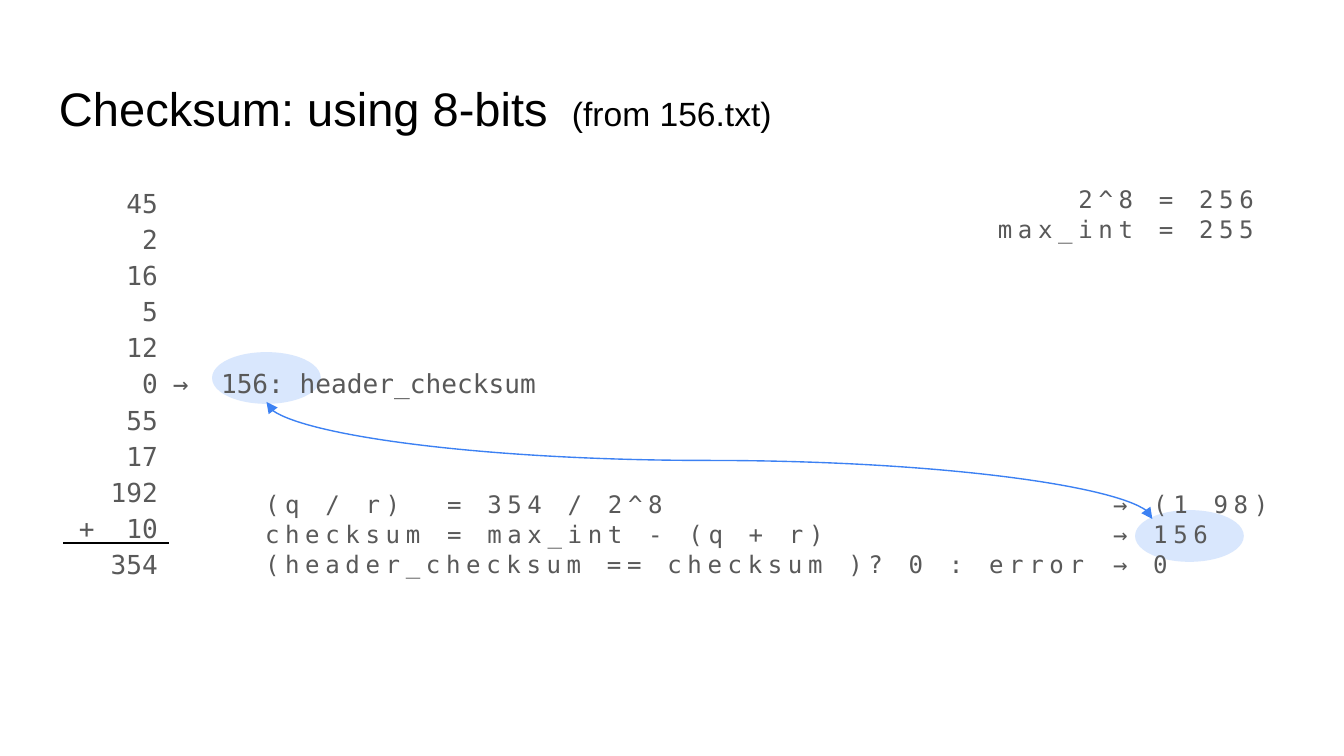
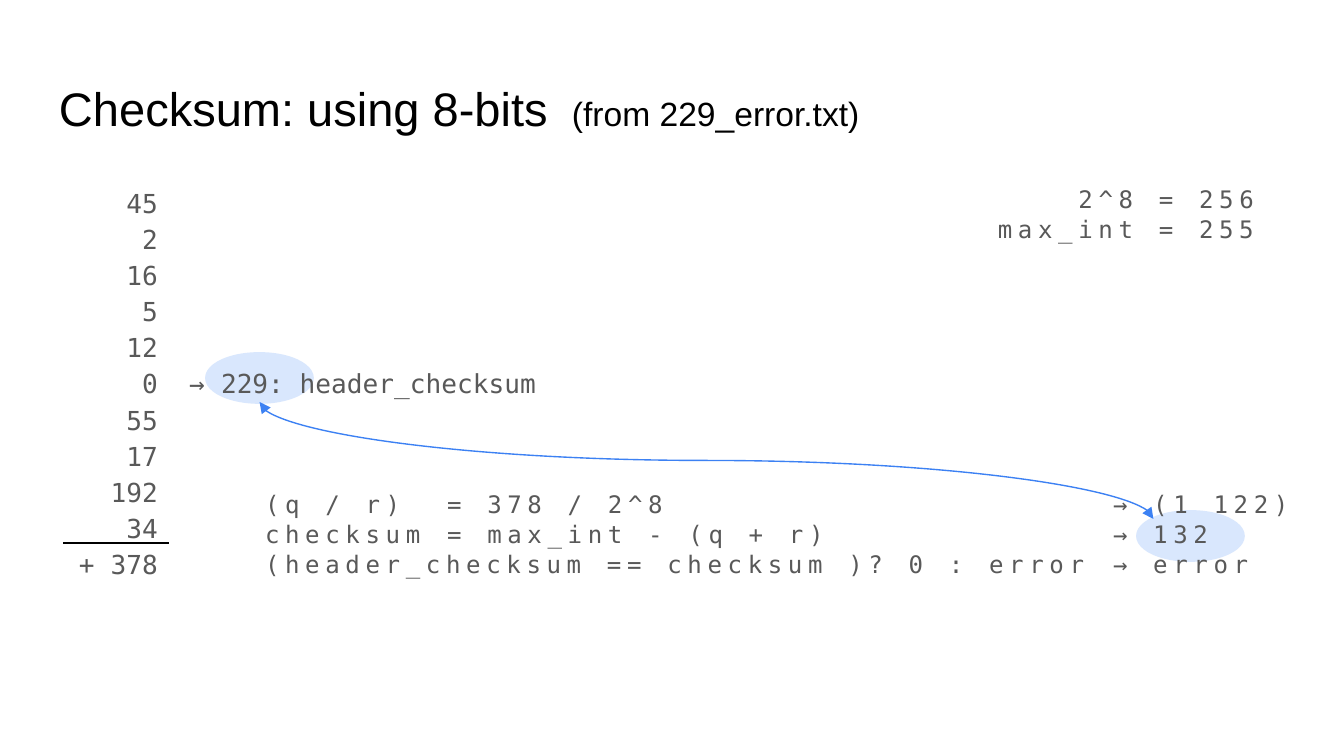
"""Build two slides that check an 8-bit header checksum, one valid and one in error."""
from math import sqrt

from lxml.etree import SubElement
from pptx import Presentation
from pptx.dml.color import RGBColor
from pptx.enum.shapes import MSO_CONNECTOR as Connector, MSO_SHAPE as Shape
from pptx.enum.text import MSO_ANCHOR as Anchor, MSO_AUTO_SIZE as AutoSize, PP_ALIGN as Align
from pptx.oxml.ns import qn
from pptx.util import Pt

TITLE = "Checksum: using 8-bits"
SHARED_OPERANDS = [45, 2, 16, 5, 12, 0, 55, 17, 192]
CHECKSUM_ROW = 5
CONSTANTS = ["2^8 = 256", "max_int = 255"]
CASES = [
    dict(file="156.txt", header=156, last_rows=["+\t10", "\t354"], total=354,
         results=["(1 98)", "156", "0"], arrow_tab=94, header_left=214, result_left=1137,
         formulas_width=1067),
    dict(file="229_error.txt", header=229, last_rows=["\t34", "+\t378"], total=378,
         results=["(1 122)", "132", "error"], arrow_tab=110, header_left=207, result_left=1138,
         formulas_width=1095),
]

BLACK = RGBColor(0x00, 0x00, 0x00)
GRAY = RGBColor(0x59, 0x59, 0x59)
PALE_BLUE = RGBColor(0xD9, 0xE7, 0xFD)
BLUE = RGBColor(0x3C, 0x81, 0xF3)
SANS, MONO = "Arial", "DejaVu Sans Mono"

SLIDE_WIDTH, SLIDE_HEIGHT = 1344, 756
INSET, INDENT = 13, 20
LEFT, BODY_TOP, BODY_HEIGHT = 46, 170, 503
OVAL_WIDTH, OVAL_HEIGHT = 105, 48
HEADER_TOP, RESULT_TOP = 354, 512
SUM_LINE_LEFT, SUM_LINE_RIGHT, SUM_LINE_Y = 63, 169, 543
FORMULA_GAP = 244


def px(length):
    return round(length * 9144000 / SLIDE_WIDTH)


def clear_list_indent(presentation):
    level = next(presentation.slide_master._element.iter(qn("p:bodyStyle")))[0]
    for name in ("marL", "indent"):
        level.attrib.pop(name, None)


def place(placeholder, left, top, width, height, indent=0):
    placeholder.left, placeholder.top = px(left), px(top)
    placeholder.width, placeholder.height = px(width), px(height)
    frame = placeholder.text_frame
    frame.word_wrap, frame.auto_size = True, AutoSize.NONE
    frame.vertical_anchor = Anchor.TOP
    frame.margin_left = px(INSET + indent)
    frame.margin_right = frame.margin_top = frame.margin_bottom = px(INSET)
    return frame


def style(paragraph, font_name, size, color, tabs, line_spacing=1.0):
    paragraph.alignment = Align.LEFT
    paragraph.line_spacing = line_spacing
    paragraph.space_before = paragraph.space_after = Pt(0)
    font = paragraph.font
    font.name, font.size = font_name, Pt(size)
    font.color.rgb = color
    properties = paragraph._p.get_or_add_pPr()
    default_run = properties.find(qn("a:defRPr"))
    bullet = SubElement(properties, qn("a:buNone"))
    tab_list = SubElement(properties, qn("a:tabLst"))
    for position, alignment in tabs:
        SubElement(tab_list, qn("a:tab"), pos=str(px(position)), algn=alignment)
    default_run.addprevious(bullet)
    default_run.addprevious(tab_list)


def add_lines(frame, lines, size, line_spacing, tabs, spacing=0):
    for line in lines:
        paragraph = frame.add_paragraph() if frame.text else frame.paragraphs[0]
        run = paragraph.add_run()
        run.text = line
        run._r.get_or_add_rPr().set("spc", str(spacing))
        style(paragraph, MONO, size, GRAY, tabs, line_spacing)


def add_title(slide, file_name):
    frame = place(slide.shapes.title, LEFT, 66, 1252, 85)
    paragraph = frame.paragraphs[0]
    paragraph.add_run().text = TITLE
    source = paragraph.add_run()
    source.text = f"\t(from {file_name})"
    source.font.size = Pt(18)
    style(paragraph, SANS, 25.2, BLACK, [(513, "l")])


def add_operands(slide, case):
    rows = [f"\t{operand}" for operand in SHARED_OPERANDS] + case["last_rows"]
    rows[CHECKSUM_ROW] += f"\t→\t{case['header']}: header_checksum"
    frame = place(slide.placeholders[1], LEFT, BODY_TOP, 587, BODY_HEIGHT, INDENT)
    add_lines(frame, rows, 14, 1.15, [(79, "r"), (case["arrow_tab"], "l"), (142, "l")])


def add_formulas(slide, case):
    formulas = [f"(q / r)\t= {case['total']} / 2^8", "checksum\t= max_int - (q + r)",
                "(header_checksum == checksum )? 0 : error"]
    constants = [f"\t{constant}" for constant in CONSTANTS]
    lines = [f"{formula}\t→ {result}" for formula, result in zip(formulas, case["results"])]
    frame = place(slide.placeholders[2], 232, BODY_TOP, case["formulas_width"], BODY_HEIGHT, INDENT)
    add_lines(frame, constants, 12.9, 1.05, [(989, "r")], spacing=307)
    add_lines(frame, lines, 12.9, 1.05, [(182, "l"), (848, "l")], spacing=307)
    frame.paragraphs[len(constants)].space_before = px(FORMULA_GAP)


def add_oval(slide, left, top):
    oval = slide.shapes.add_shape(Shape.OVAL, px(left), px(top), px(OVAL_WIDTH), px(OVAL_HEIGHT))
    oval.shadow.inherit = False
    oval.fill.solid()
    oval.fill.fore_color.rgb = oval.line.color.rgb = PALE_BLUE
    oval.line.width = Pt(2)
    slide.shapes.title._element.addnext(oval._element)


def add_line(slide, kind, begin, end, color, width):
    line = slide.shapes.add_connector(kind, *map(px, begin + end))
    line.line.color.rgb, line.line.width = color, Pt(width)
    SubElement(line._element.spPr, qn("a:effectLst"))
    return line


def add_link(slide, header_left, result_left):
    begin_x, begin_y = header_left + OVAL_WIDTH / 2, HEADER_TOP + OVAL_HEIGHT
    end_x = result_left + OVAL_WIDTH / 2 * (1 - sqrt(0.5))
    end_y = RESULT_TOP + OVAL_HEIGHT / 2 * (1 - sqrt(0.5))
    center_x, center_y = (begin_x + end_x) / 2, (begin_y + end_y) / 2
    half_span, half_drop = (end_x - begin_x) / 2, (end_y - begin_y) / 2
    link = add_line(slide, Connector.CURVE, (center_x + half_drop, center_y - half_span),
                    (center_x - half_drop, center_y + half_span), BLUE, 0.75)
    link._element.spPr.find(qn("a:xfrm")).set("rot", "16200000")
    outline = link.line._get_or_add_ln()
    for end_name in ("a:headEnd", "a:tailEnd"):
        SubElement(outline, qn(end_name), type="triangle")


def add_case(presentation, case):
    slide = presentation.slides.add_slide(presentation.slide_layouts[3])
    add_title(slide, case["file"])
    add_operands(slide, case)
    add_formulas(slide, case)
    add_oval(slide, case["header_left"], HEADER_TOP)
    add_oval(slide, case["result_left"], RESULT_TOP)
    add_line(slide, Connector.STRAIGHT, (SUM_LINE_RIGHT, SUM_LINE_Y),
             (SUM_LINE_LEFT, SUM_LINE_Y), BLACK, 1.25)
    add_link(slide, case["header_left"], case["result_left"])


def main():
    presentation = Presentation()
    presentation.slide_width, presentation.slide_height = px(SLIDE_WIDTH), px(SLIDE_HEIGHT)
    clear_list_indent(presentation)
    for case in CASES:
        add_case(presentation, case)
    presentation.save("out.pptx")


if __name__ == "__main__":
    main()
